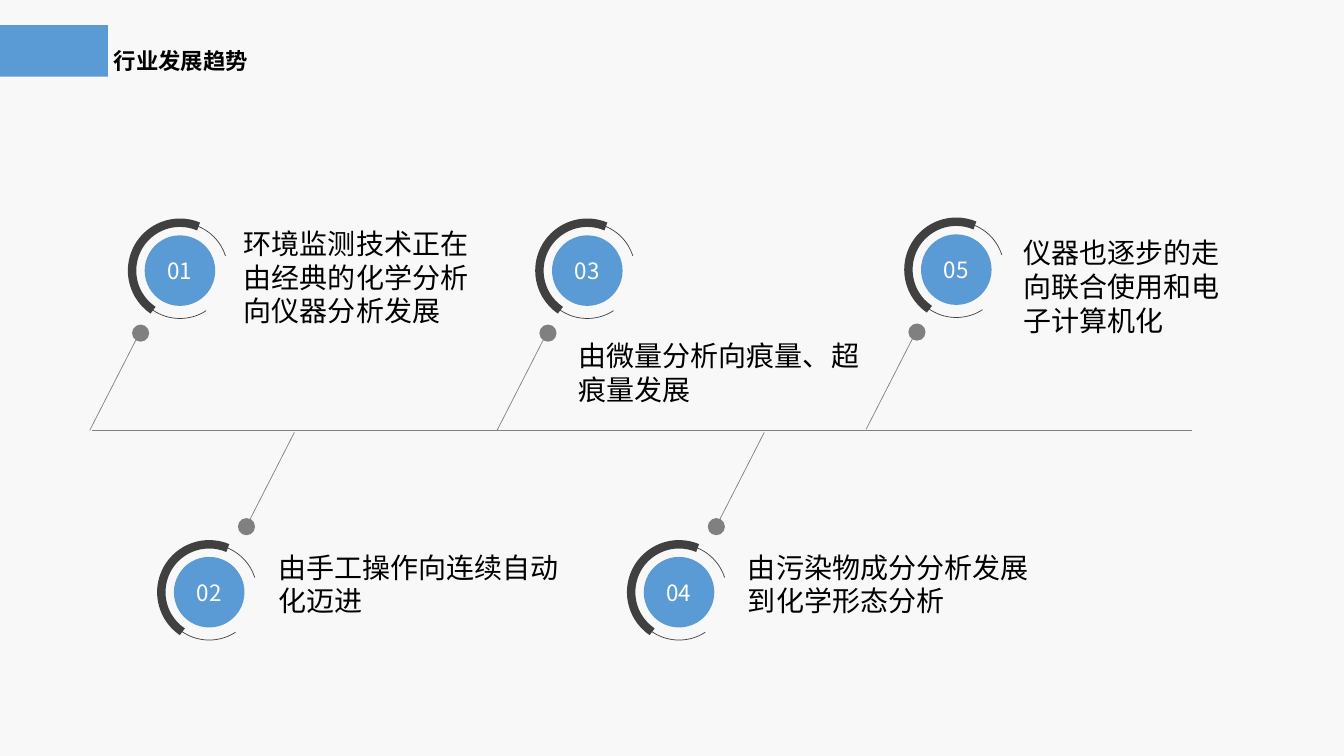
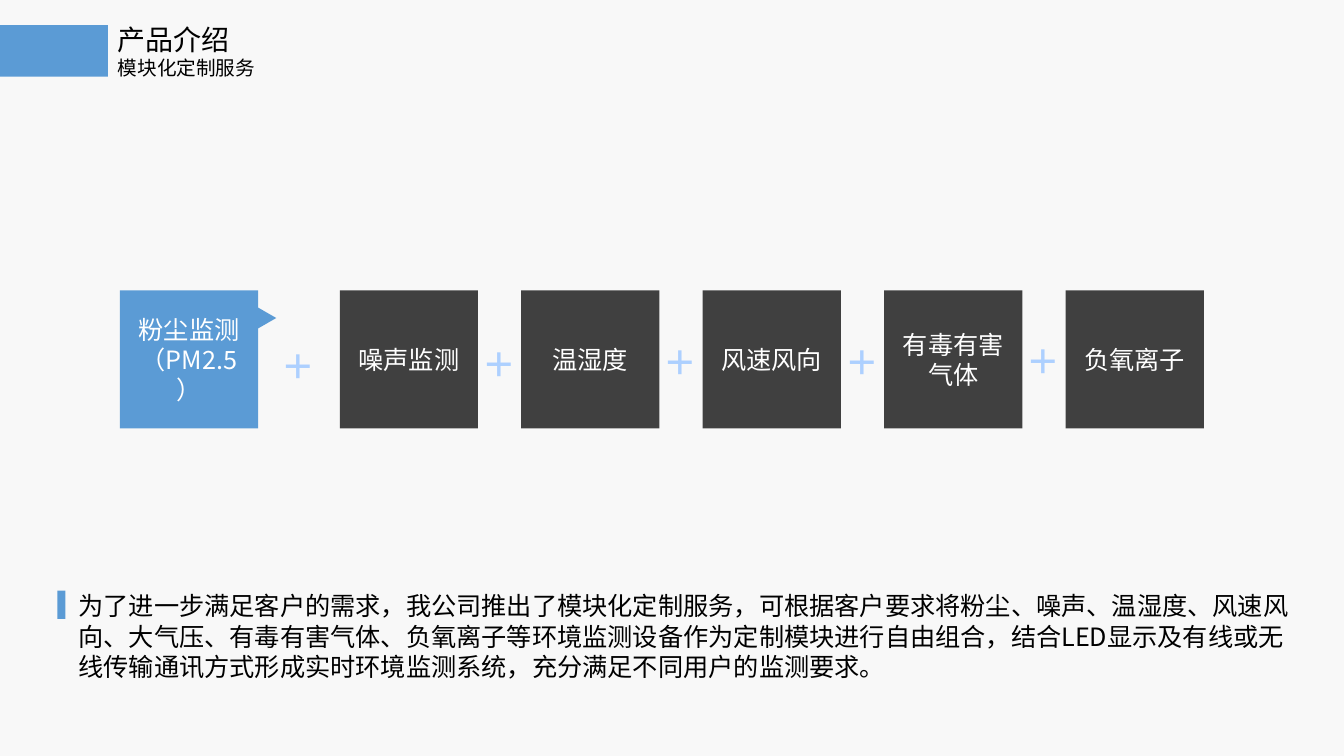
"""Build two slides: a timeline of industry trends and a modular product line-up."""
import dataclasses

import pptx
import pptx.dml.color
import pptx.enum.lang
import pptx.enum.shapes
import pptx.enum.text
import pptx.oxml
import pptx.oxml.ns
import pptx.util
from lxml import etree

Inches = pptx.util.Inches
Pt = pptx.util.Pt
Shape = pptx.enum.shapes.MSO_SHAPE
Align = pptx.enum.text.PP_ALIGN


@dataclasses.dataclass(frozen=True)
class Theme:
    font: str = "Noto Sans CJK SC"
    plus_font: str = "Calibri"
    background: str = "F8F8F8"
    accent: str = "5B9BD5"
    dark: str = "404040"
    grey: str = "808080"
    white: str = "FFFFFF"
    black: str = "000000"
    plus: str = "ADD0FF"
    subtitle_size: int = 14
    number_size: int = 16
    body_size: int = 18
    label_size: int = 20
    plus_size: int = 24
    thin_line: float = 0.5
    thick_line: float = 6


THEME = Theme()

TREND_TITLE = [("行业发展趋势", 16, True)]
PRODUCT_TITLE = [("产品介绍", THEME.label_size, False), ("模块化定制服务", THEME.subtitle_size, False)]

TRENDS = [
    {"ring": (1.31, 2.21), "side": "above", "label": (2.32, 2.2, 2.49, 1.11),
     "text": "环境监测技术正在由经典的化学分析向仪器分析发展"},
    {"ring": (1.6, 5.4), "side": "below", "label": (2.66, 5.41, 3.22, 0.77),
     "text": "由手工操作向连续自动化迈进"},
    {"ring": (5.35, 2.21), "side": "above", "label": (5.64, 3.31, 3.22, 0.77),
     "text": "由微量分析向痕量、超痕量发展"},
    {"ring": (6.26, 5.4), "side": "below", "label": (7.32, 5.41, 3.22, 0.77),
     "text": "由污染物成分分析发展到化学形态分析"},
    {"ring": (9.01, 2.2), "side": "above", "label": (10.05, 2.29, 2.21, 1.11),
     "text": "仪器也逐步的走向联合使用和电子计算机化"},
]
STEMS = {
    "above": {"start": (-0.42, 2.06), "end": (0.05, 1.14), "dot": (0, 1.01)},
    "below": {"start": (1.32, -1.11), "end": (0.85, -0.19), "dot": (0.76, -0.26)},
}
RING_SIZE, DISC_SIZE, DOT_SIZE = 0.95, 0.7, 0.17
RING_ARCS = [(56.77, 342.15, THEME.thin_line), (124.15, 292.86, THEME.thick_line)]

LEAD_MODULE = "粉尘监测（PM2.5）"
MODULES = ["噪声监测", "温湿度", "风速风向", "有毒有害气体", "负氧离子"]
PLUS_TOPS = [3.38, 3.36, 3.34, 3.34, 3.33]
LEAD_LEFT, MODULE_LEFT, MODULE_TOP = 1.19, 3.37, 2.88
MODULE_SIZE, MODULE_STEP = 1.37, 1.8
PLUS_WIDTH, PLUS_HEIGHT = 0.54, 0.5
SUMMARY = (
    "为了进一步满足客户的需求，我公司推出了模块化定制服务，可根据客户要求将粉尘、噪声、温湿度、"
    "风速风向、大气压、有毒有害气体、负氧离子等环境监测设备作为定制模块进行自由组合，"
    "结合LED显示及有线或无线传输通讯方式形成实时环境监测系统，充分满足不同用户的监测要求。"
)


def rgb(value):
    return pptx.dml.color.RGBColor.from_string(value)


def inches(values):
    return [Inches(value) for value in values]


def add_run(paragraph, text, size, color, bold=False, font=THEME.font):
    run = paragraph.add_run()
    run.text = text
    run.font.size = Pt(size)
    run.font.bold = bold
    run.font.color.rgb = rgb(color)
    run.font.name = font
    run.font.language_id = pptx.enum.lang.MSO_LANGUAGE_ID.SIMPLIFIED_CHINESE
    latin = run.font._element.find(pptx.oxml.ns.qn("a:latin"))
    east_asian = etree.Element(pptx.oxml.ns.qn("a:ea"), typeface=THEME.font)
    latin.addnext(east_asian)


def add_text(slide, box, lines, color=THEME.black, wrap=True, font=THEME.font):
    frame = slide.shapes.add_textbox(*inches(box)).text_frame
    frame.word_wrap = wrap
    frame.auto_size = pptx.enum.text.MSO_AUTO_SIZE.SHAPE_TO_FIT_TEXT
    for index, (text, size, bold) in enumerate(lines):
        paragraph = frame.add_paragraph() if index else frame.paragraphs[0]
        add_run(paragraph, text, size, color, bold, font)


def add_filled(shapes, kind, box, color, text="", size=THEME.body_size, wrap=True):
    shape = shapes.add_shape(kind, *inches(box))
    shape.shadow.inherit = False
    shape.fill.solid()
    shape.fill.fore_color.rgb = rgb(color)
    shape.line.fill.background()
    if text:
        frame = shape.text_frame
        frame.word_wrap = wrap
        frame.vertical_anchor = pptx.enum.text.MSO_ANCHOR.MIDDLE
        paragraph = frame.paragraphs[0]
        paragraph.alignment = Align.CENTER
        add_run(paragraph, text, size, THEME.white)
    return shape


def add_line(slide, start, end):
    line = slide.shapes.add_connector(
        pptx.enum.shapes.MSO_CONNECTOR.STRAIGHT, *inches(start + end))
    line.line.color.rgb = rgb(THEME.grey)
    line.line.width = Pt(THEME.thin_line)
    etree.SubElement(line._element.spPr, pptx.oxml.ns.qn("a:effectLst"))


def add_ring(slide, left, top):
    ring = slide.shapes.add_group_shape()
    for start, end, width in RING_ARCS:
        arc = ring.shapes.add_shape(Shape.ARC, *inches((left, top, RING_SIZE, RING_SIZE)))
        arc.shadow.inherit = False
        arc.adjustments[0] = start * 0.6
        arc.adjustments[1] = end * 0.6
        arc.fill.background()
        arc.line.color.rgb = rgb(THEME.dark)
        arc.line.width = Pt(width)


def add_slide(presentation, title_box, title):
    slide = presentation.slides.add_slide(presentation.slide_layouts[6])
    slide.background.fill.solid()
    slide.background.fill.fore_color.rgb = rgb(THEME.background)
    add_filled(slide.shapes, Shape.RECTANGLE, (0, 0.25, 1.07, 0.51), THEME.accent)
    add_text(slide, title_box, title)
    return slide


def build_trends(presentation):
    slide = add_slide(presentation, (1.03, 0.42, 4.39, 0.37), TREND_TITLE)
    add_line(slide, (0.91, 4.27), (11.82, 4.27))
    inset = (RING_SIZE - DISC_SIZE) / 2
    for number, trend in enumerate(TRENDS, 1):
        left, top = trend["ring"]
        stem = {part: (left + x, top + y) for part, (x, y) in STEMS[trend["side"]].items()}
        add_line(slide, stem["start"], stem["end"])
        add_filled(slide.shapes, Shape.OVAL, (*stem["dot"], DOT_SIZE, DOT_SIZE), THEME.grey)
        add_filled(slide.shapes, Shape.OVAL, (left + inset, top + inset, DISC_SIZE, DISC_SIZE),
                   THEME.accent, f"{number:02d}", THEME.number_size, wrap=False)
        add_ring(slide, left, top)
        add_text(slide, trend["label"], [(trend["text"], THEME.label_size, False)])


def build_product(presentation):
    slide = add_slide(presentation, (1.07, 0.17, 4.39, 0.67), PRODUCT_TITLE)
    lead = slide.shapes.add_group_shape()
    add_filled(lead.shapes, Shape.RECTANGLE, (LEAD_LEFT, MODULE_TOP, MODULE_SIZE, MODULE_SIZE),
               THEME.accent, LEAD_MODULE)
    pointer = add_filled(lead.shapes, Shape.ISOSCELES_TRIANGLE, (2.45, 3.02, 0.31, 0.27), THEME.accent)
    pointer.rotation = 90
    previous_right = LEAD_LEFT + MODULE_SIZE
    for index, (module, plus_top) in enumerate(zip(MODULES, PLUS_TOPS)):
        left = MODULE_LEFT + index * MODULE_STEP
        add_filled(slide.shapes, Shape.RECTANGLE, (left, MODULE_TOP, MODULE_SIZE, MODULE_SIZE),
                   THEME.dark, module)
        plus_left = (previous_right + left - PLUS_WIDTH) / 2
        add_text(slide, (plus_left, plus_top, PLUS_WIDTH, PLUS_HEIGHT),
                 [("＋", THEME.plus_size, True)], THEME.plus, wrap=False, font=THEME.plus_font)
        previous_right = left + MODULE_SIZE
    add_text(slide, (0.68, 5.81, 12.3, 1.01), [(SUMMARY, THEME.body_size, False)])
    add_filled(slide.shapes, Shape.RECTANGLE, (0.57, 5.86, 0.08, 0.28), THEME.accent)


def main():
    presentation = pptx.Presentation()
    presentation.slide_width = Inches(13.33)
    presentation.slide_height = Inches(7.5)
    build_trends(presentation)
    build_product(presentation)
    presentation.save("out.pptx")


if __name__ == "__main__":
    main()
